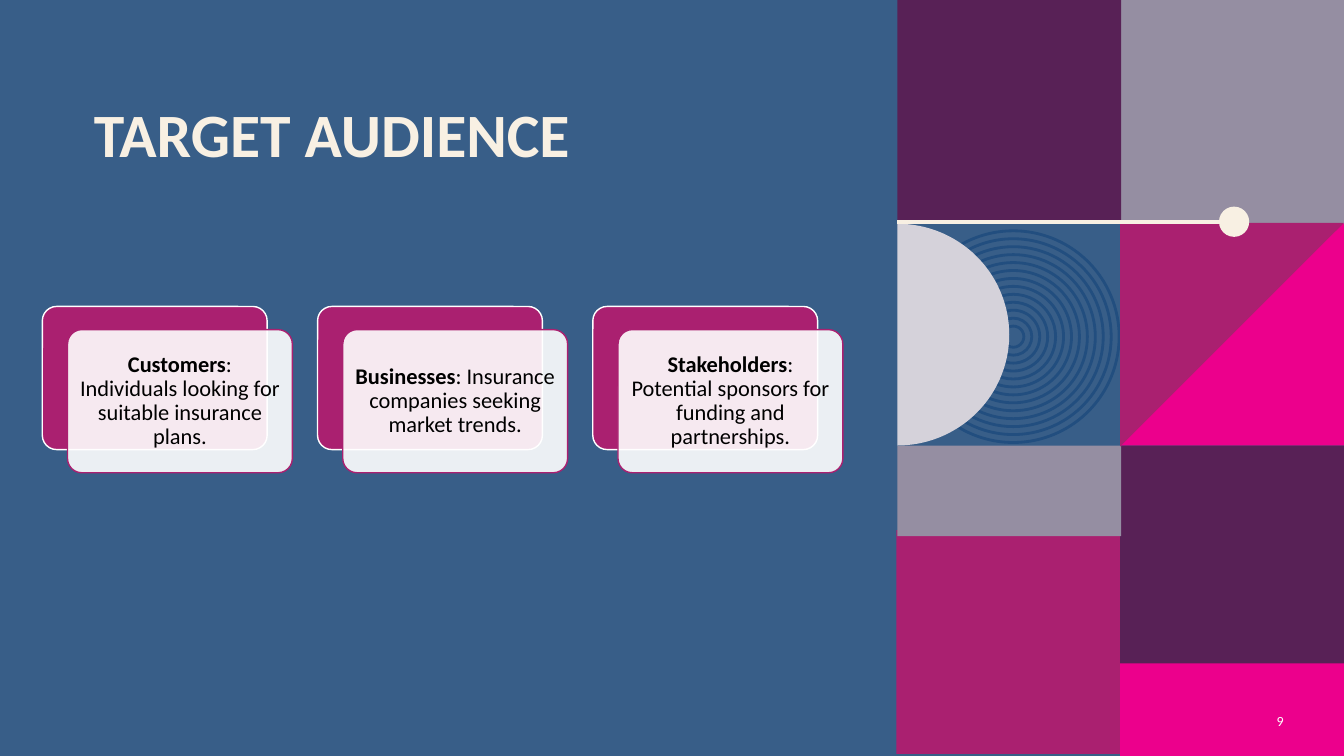
from dataclasses import dataclass
from math import cos, pi, sin

from lxml.etree import SubElement
from pptx import Presentation
from pptx.dml.color import RGBColor
from pptx.enum.shapes import MSO_CONNECTOR, MSO_SHAPE
from pptx.enum.text import MSO_ANCHOR, MSO_AUTO_SIZE, PP_ALIGN
from pptx.oxml.ns import qn
from pptx.util import Inches, Pt


@dataclass(frozen=True)
class Theme:
    blue: str = "385E88"
    ring: str = "224E7F"
    plum: str = "582156"
    berry: str = "AA2070"
    pink: str = "EC008C"
    mauve: str = "958EA2"
    mist: str = "D5D2DA"
    cream: str = "F8F0E3"
    white: str = "FFFFFF"
    black: str = "000000"
    font: str = "Calibri"
    title_size: int = 44
    card_size: int = 16
    number_size: int = 10


theme = Theme()


def paint(shape, fill=None, line=None, width=1):
    """Set fill and outline, either of which may be absent, and drop the shadow."""
    shape.shadow.inherit = False
    if fill:
        shape.fill.solid()
        shape.fill.fore_color.rgb = RGBColor.from_string(fill)
    else:
        shape.fill.background()
    if line:
        shape.line.color.rgb = RGBColor.from_string(line)
        shape.line.width = Pt(width)
    else:
        shape.line.fill.background()


def add_span(para, text, size, color, bold=False):
    span = para.add_run()
    span.text = text
    span.font.name = theme.font
    span.font.size = Pt(size)
    span.font.bold = bold
    span.font.color.rgb = RGBColor.from_string(color)


deck = Presentation()
deck.slide_width, deck.slide_height = Inches(13.33), Inches(7.5)
page = deck.slides.add_slide(deck.slide_layouts[5])
page.background.fill.solid()
page.background.fill.fore_color.rgb = RGBColor.from_string(theme.blue)
shapes = page.shapes

# Mosaic tiles
tile = 2.22
left_column, right_column = 8.9, 11.11
tiles = [
    (right_column, 2.2, tile, theme.pink),
    (right_column, 0, tile, theme.mauve),
    (left_column, -0.01, tile, theme.plum),
    (left_column - 0.01, 5.26, tile, theme.berry),
    (right_column, 4.42, tile, theme.plum),
    (right_column, 6.58, 0.92, theme.pink),
    (left_column, 4.42, 0.9, theme.mauve),
]
for left, top, height, color in tiles:
    square = shapes.add_shape(
        MSO_SHAPE.RECTANGLE, Inches(left), Inches(top), Inches(tile), Inches(height))
    paint(square, color)

# Concentric rings
ring_x, ring_y = 10.05, 3.34
for index in range(13):
    size = 2.1 - 1.89 * index / 12
    ring = shapes.add_shape(
        MSO_SHAPE.OVAL, Inches(ring_x - size / 2), Inches(ring_y - size / 2),
        Inches(size), Inches(size))
    paint(ring, line=theme.ring, width=2)

# Triangle and half disc
triangle = [(13.33, 2.21), (right_column, 4.43), (right_column, 2.21)]
steps = 90
angles = [pi * step / steps - pi / 2 for step in range(steps + 1)]
half_disc = [(left_column + 1.11 * cos(a), 3.32 + 1.1 * sin(a)) for a in angles]
for points, color in [(triangle, theme.berry), (half_disc, theme.mist)]:
    corners = [(Inches(x), Inches(y)) for x, y in points]
    builder = shapes.build_freeform(*corners[0])
    builder.add_line_segments(corners[1:], close=True)
    paint(builder.convert_to_shape(), color)

# Line with a dot at its end
rule = shapes.add_connector(
    MSO_CONNECTOR.STRAIGHT, Inches(left_column), Inches(2.2), Inches(12.23), Inches(2.2))
rule.line.color.rgb = RGBColor.from_string(theme.cream)
rule.line.width = Pt(3)
SubElement(rule.line._get_or_add_ln().getparent(), qn("a:effectLst"))
dot = shapes.add_shape(
    MSO_SHAPE.OVAL, Inches(12.09), Inches(2.05), Inches(0.3), Inches(0.3))
paint(dot, theme.cream)

# Title
title = shapes.title
title.left, title.top = Inches(0.83), Inches(0.98)
title.width, title.height = Inches(7.21), Inches(1.15)
title.text_frame.auto_size = MSO_AUTO_SIZE.NONE
title.text_frame.vertical_anchor = MSO_ANCHOR.TOP
para = title.text_frame.paragraphs[0]
para.alignment = PP_ALIGN.LEFT
para.line_spacing = 0.9
add_span(para, "TARGET AUDIENCE", theme.title_size, theme.cream, bold=True)

# Page number
number = shapes.add_textbox(Inches(12.33), Inches(6.95), Inches(0.5), Inches(0.4))
number.text_frame.word_wrap = True
number.text_frame.vertical_anchor = MSO_ANCHOR.MIDDLE
para = number.text_frame.paragraphs[0]
para.alignment = PP_ALIGN.RIGHT
add_span(para, "9", theme.number_size, theme.white)

# Audience cards, each on an offset backing panel
audiences = [
    ("Customers", ": Individuals looking for suitable insurance plans."),
    ("Businesses", ": Insurance companies seeking market trends."),
    ("Stakeholders", ": Potential sponsors for funding and partnerships."),
]
for index, (name, description) in enumerate(audiences):
    left = 0.42 + 2.73 * index
    panel, card = [
        shapes.add_shape(MSO_SHAPE.ROUNDED_RECTANGLE, Inches(x), Inches(y),
                         Inches(2.23), Inches(1.42))
        for x, y in [(left, 3.04), (left + 0.25, 3.27)]
    ]
    panel.adjustments[0] = card.adjustments[0] = 0.1
    paint(panel, theme.berry, theme.white)
    paint(card, theme.white, theme.berry)
    fill_color = card.fill._xPr.find(qn("a:solidFill"))[0]
    SubElement(fill_color, qn("a:alpha"), val="90000")

    frame = card.text_frame
    frame.word_wrap = True
    frame.vertical_anchor = MSO_ANCHOR.MIDDLE
    frame.margin_left = frame.margin_right = Inches(0.07)
    frame.margin_top = frame.margin_bottom = Inches(0.07)
    para = frame.paragraphs[0]
    para.alignment = PP_ALIGN.CENTER
    para.line_spacing = 0.9
    add_span(para, name, theme.card_size, theme.black, bold=True)
    add_span(para, description, theme.card_size, theme.black)

deck.save("out.pptx")
